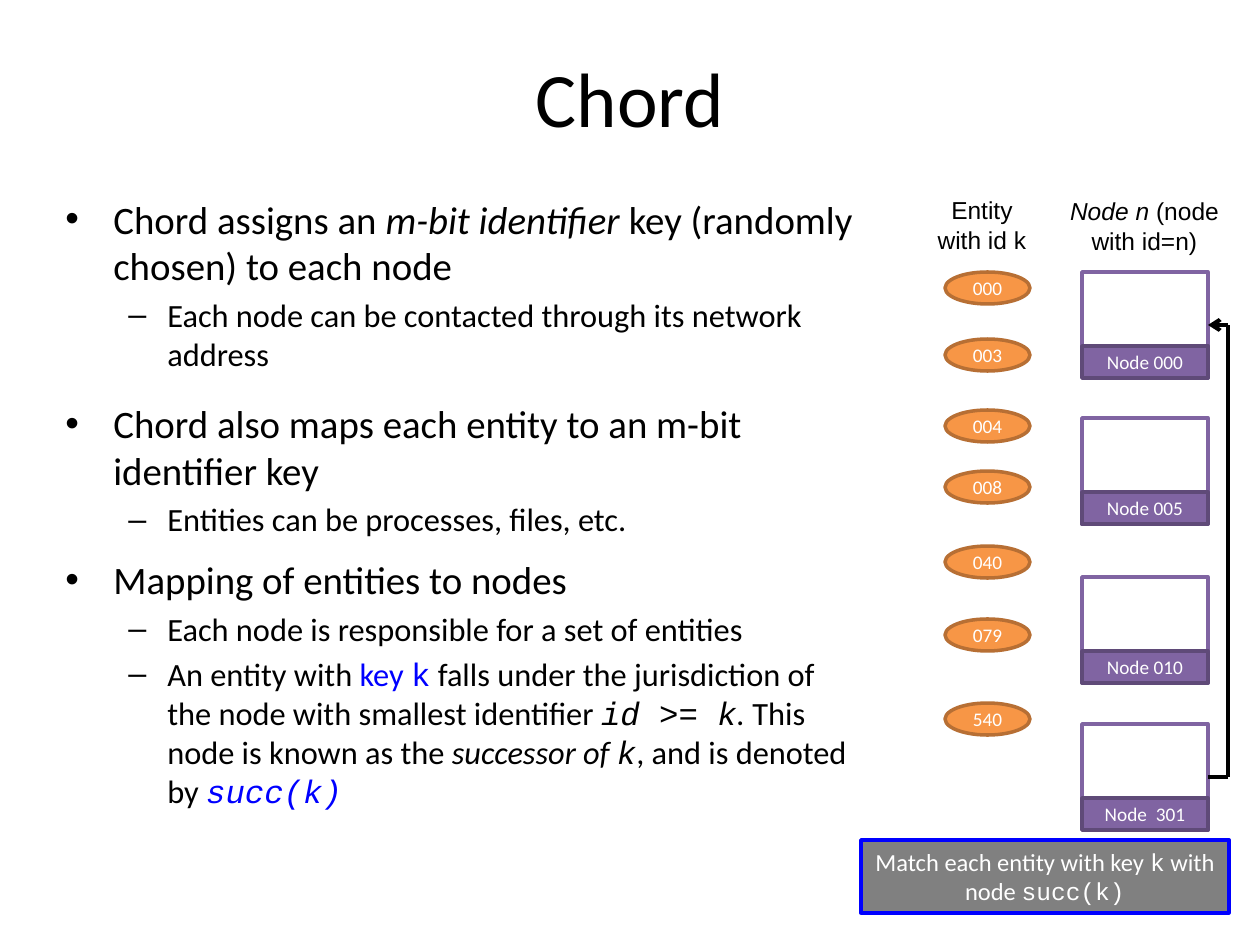
from lxml import etree
from pptx import Presentation
from pptx.dml.color import RGBColor
from pptx.enum.shapes import MSO_CONNECTOR, MSO_SHAPE
from pptx.enum.text import MSO_ANCHOR, PP_ALIGN
from pptx.oxml.ns import qn
from pptx.util import Emu, Pt

RECTANGLE, OVAL = MSO_SHAPE.RECTANGLE, MSO_SHAPE.OVAL
STRAIGHT = MSO_CONNECTOR.STRAIGHT
LEFT, CENTER = PP_ALIGN.LEFT, PP_ALIGN.CENTER
TOP, MIDDLE = MSO_ANCHOR.TOP, MSO_ANCHOR.MIDDLE

PX_PER_INCH = 126
RIGHT_SIDE = 3
BLACK, WHITE, BLUE, GRAY = "000000", "FFFFFF", "0000FF", "808080"
PURPLE, DARK_PURPLE = "8064A2", "5F4A78"
ORANGE, DARK_ORANGE = "F79646", "B76F34"

ITALIC = {"italic": True}
CODE = {"font": "Courier New"}
BLUE_TEXT = {"color": BLUE}

LEVELS = [
    {"size": 22.2, "margin": 48, "hanging": 48, "bullet": "•"},
    {"size": 18.5, "margin": 102, "hanging": 39, "bullet": "–"},
]
POINTS = [
    (0, 4.4, [("Chord assigns an ", {}), ("m-bit identifier", ITALIC),
              (" key (randomly chosen) to each node", {})]),
    (1, 3.7, [("Each node can be contacted through its network address", {})]),
    (0, 15.4, [("Chord also maps each entity to an m-bit identifier key", {})]),
    (1, 3.7, [("Entities can be processes, files, etc.", {})]),
    (0, 10, [("Mapping of entities to nodes", {})]),
    (1, 3.7, [("Each node is responsible for a set of entities", {})]),
    (1, 3.7, [("An entity with ", {}), ("key ", BLUE_TEXT),
              ("k", {**CODE, **BLUE_TEXT}),
              (" falls under the jurisdiction of the node with smallest identifier ", {}),
              ("id >= k", {**CODE, **ITALIC}), (".", ITALIC),
              (" This node is known as the ", {}), ("successor of ", ITALIC),
              ("k", {**CODE, **ITALIC}), (", and is denoted by ", {}),
              ("succ(k)", {**CODE, **ITALIC, **BLUE_TEXT})]),
]
ENTITIES = [("000", 272), ("003", 339), ("004", 410), ("008", 471),
            ("040", 546), ("079", 619), ("540", 703)]
NODES = [("Node 000", 272), ("Node 005", 418), ("Node 010", 577), ("Node  301", 724)]


def px(length):
    return Emu(round(length * 914400 / PX_PER_INCH))


def rgb(color):
    return RGBColor.from_string(color)


def write(paragraph, runs, size, font="Calibri", color=BLACK, align=CENTER):
    paragraph.alignment = align
    for words, style in runs:
        run = paragraph.add_run()
        run.text = words
        run.font.size = Pt(size)
        run.font.name = style.get("font", font)
        run.font.italic = style.get("italic", False)
        run.font.color.rgb = rgb(style.get("color", color))


def add_text_frame(slide, box, anchor=TOP):
    frame = slide.shapes.add_textbox(*map(px, box)).text_frame
    frame.word_wrap = True
    frame.vertical_anchor = anchor
    return frame


def add_box(shapes, kind, box, fill, outline, runs=(), size=11):
    shape = shapes.add_shape(kind, *map(px, box))
    shape.shadow.inherit = False
    shape.fill.solid()
    shape.fill.fore_color.rgb = rgb(fill)
    shape.line.color.rgb = rgb(outline)
    shape.line.width = Pt(2)
    frame = shape.text_frame
    frame.word_wrap = True
    frame.vertical_anchor = MIDDLE
    write(frame.paragraphs[0], runs, size, color=WHITE)
    return shape


def add_points(slide):
    frame = add_text_frame(slide, (53, 189, 819, 624))
    for index, (depth, gap, runs) in enumerate(POINTS):
        level = LEVELS[depth]
        paragraph = frame.add_paragraph() if index else frame.paragraphs[0]
        write(paragraph, runs, level["size"], align=LEFT)
        paragraph.level = depth
        paragraph.space_before = Pt(gap)
        properties = paragraph._p.get_or_add_pPr()
        properties.set("marL", str(px(level["margin"])))
        properties.set("indent", str(-px(level["hanging"])))
        etree.SubElement(properties, qn("a:buFont")).set("typeface", "Arial")
        etree.SubElement(properties, qn("a:buChar")).set("char", level["bullet"])


def add_node(slide, name, top):
    group = slide.shapes.add_group_shape()
    storage = add_box(group.shapes, RECTANGLE, (1082, top, 126, 106), WHITE, PURPLE)
    add_box(group.shapes, RECTANGLE, (1082, top + 74, 126, 32), PURPLE, DARK_PURPLE,
            [(name, {})])
    return storage


def add_line(slide, start, end, source=None, target=None):
    line = slide.shapes.add_connector(STRAIGHT, *map(px, start + end))
    line.line.color.rgb = rgb(BLACK)
    line.line.width = Pt(2.25)
    if source is not None:
        line.begin_connect(source, RIGHT_SIDE)
    if target is not None:
        line.end_connect(target, RIGHT_SIDE)
        etree.SubElement(line.line._get_or_add_ln(), qn("a:tailEnd")).set("type", "arrow")
    etree.SubElement(line._element.spPr, qn("a:effectLst"))


def add_ring_link(slide, last, first):
    edge, outer, low, high = 1208, 1228, 777, 325
    add_line(slide, (edge, low), (outer, low), source=last)
    add_line(slide, (outer, low), (outer, high))
    add_line(slide, (outer, high), (edge, high), target=first)


def main():
    deck = Presentation()
    deck.slide_width, deck.slide_height = px(1260), px(945)
    slide = deck.slides.add_slide(deck.slide_layouts[6])

    title = add_text_frame(slide, (63, 18, 1134, 157), MIDDLE)
    write(title.paragraphs[0], [("Chord", {})], 44)
    add_points(slide)

    nodes = [add_node(slide, name, top) for name, top in NODES]
    for key, top in ENTITIES:
        add_box(slide.shapes, OVAL, (945, top, 85, 32), ORANGE, DARK_ORANGE, [(key, {})])

    headings = [
        ((924, 189, 116, 72), [("Entity with id k", {})]),
        ((1050, 190, 189, 72), [("Node n", ITALIC), (" (node with id=n)", {})]),
    ]
    for box, runs in headings:
        write(add_text_frame(slide, box).paragraphs[0], runs, 14, font="Arial")

    add_box(slide.shapes, RECTANGLE, (861, 840, 368, 73), GRAY, BLUE,
            [("Match each entity with key ", {}), ("k", CODE),
             (" with node ", {}), ("succ(k)", CODE)], size=14)
    add_ring_link(slide, nodes[-1], nodes[0])
    deck.save("out.pptx")


if __name__ == "__main__":
    main()
